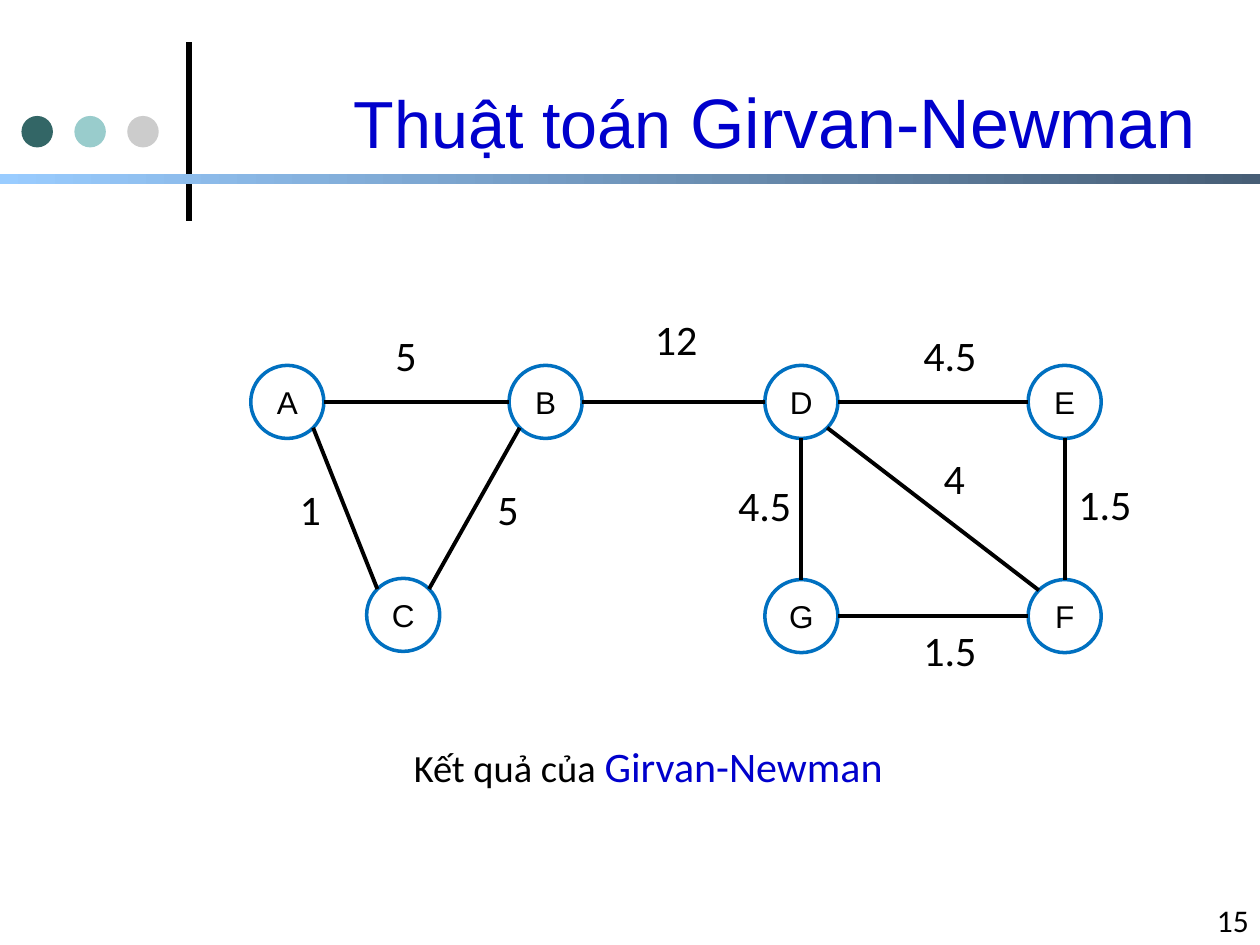
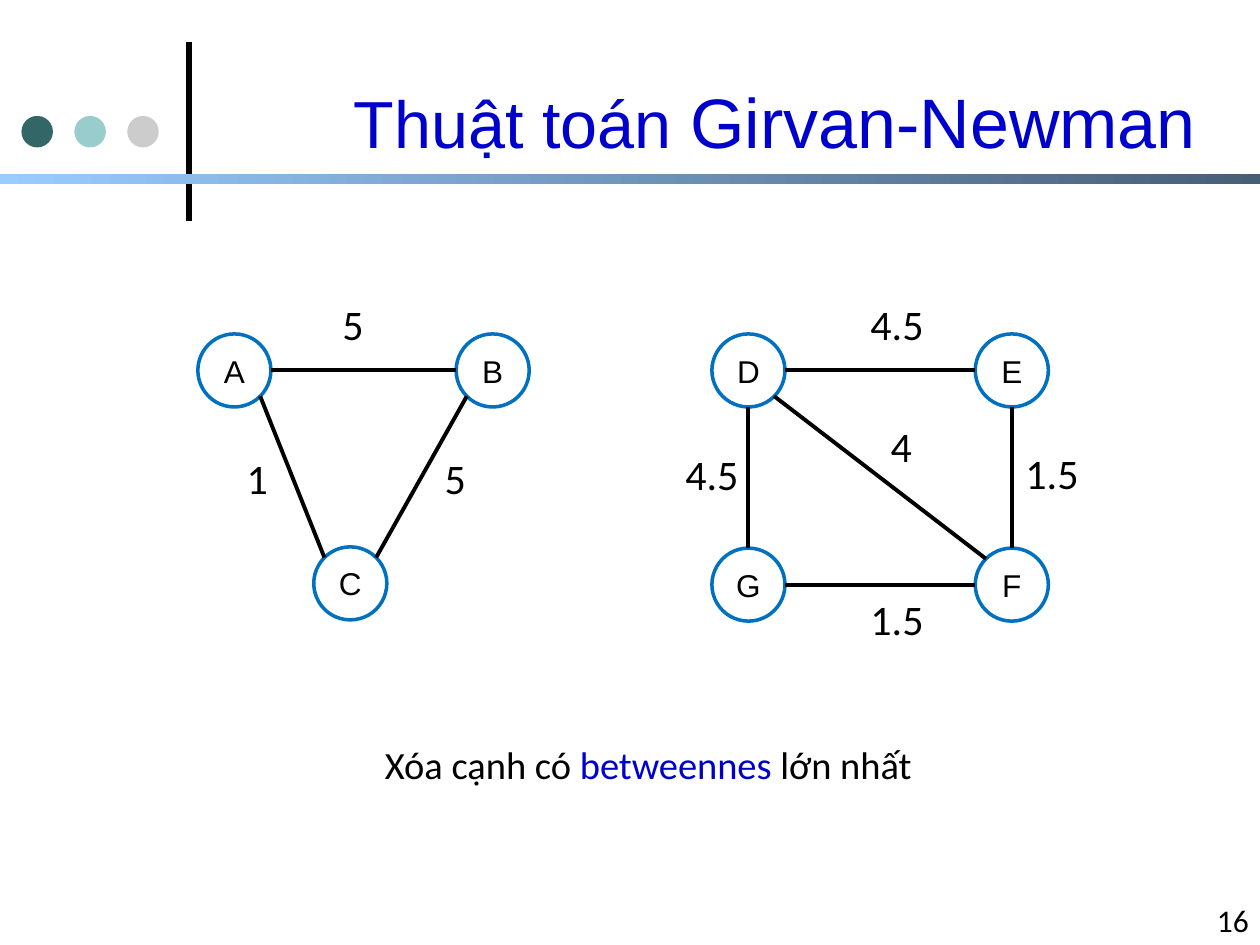
"""Build two slides on the Girvan-Newman algorithm and its edge betweenness."""
import math
from dataclasses import dataclass

import lxml.etree
import pptx
import pptx.dml.color
import pptx.enum.dml
import pptx.enum.shapes
import pptx.enum.text
import pptx.oxml.ns
import pptx.shapes.autoshape
import pptx.shapes.connector
import pptx.slide
import pptx.text.text
import pptx.util

Inches = pptx.util.Inches
Pt = pptx.util.Pt
RGBColor = pptx.dml.color.RGBColor
Align = pptx.enum.text.PP_ALIGN
Anchor = pptx.enum.text.MSO_ANCHOR
ShapeKind = pptx.enum.shapes.MSO_SHAPE

BLACK = RGBColor(0x00, 0x00, 0x00)
TITLE_BLUE = RGBColor(0x00, 0x00, 0xCC)
NODE_BLUE = RGBColor(0x00, 0x70, 0xC0)
BAND_START = RGBColor(0x99, 0xCC, 0xFF)
BAND_END = RGBColor(0x47, 0x5E, 0x76)
DOT_COLORS = (
    RGBColor(0x33, 0x66, 0x66),
    RGBColor(0x99, 0xCC, 0xCC),
    RGBColor(0xCC, 0xCC, 0xCC),
)
HEADING_FONT = "Arial"
BODY_FONT = "Calibri"

NODE_SIZE = 0.58
LABEL_WIDTHS = {1: 0.37, 2: 0.54, 3: 0.62}
TOP, TOP_LEFT, LEFT, BOTTOM_LEFT, BOTTOM, BOTTOM_RIGHT, RIGHT, TOP_RIGHT = range(8)


@dataclass(frozen=True)
class Piece:
    """A stretch of text with its own size and colour."""

    text: str
    size: float
    color: RGBColor = BLACK


@dataclass(frozen=True)
class Node:
    """A graph vertex, placed by its top left corner."""

    name: str
    left: float
    top: float


@dataclass(frozen=True)
class Edge:
    """A weighted link between two connection sites, with its label's corner."""

    start: str
    start_site: int
    end: str
    end_site: int
    weight: str
    label_left: float
    label_top: float


@dataclass(frozen=True)
class GraphSlide:
    """The content of one slide and the shift of its graph."""

    number: int
    caption: tuple[Piece, ...]
    edges: tuple[Edge, ...]
    shift_x: float = 0
    shift_y: float = 0


TITLE = (Piece("Thuật toán ", 38, TITLE_BLUE), Piece("Girvan-Newman", 40, TITLE_BLUE))

NODES = (
    Node("A", 1.99, 2.9),
    Node("B", 4.04, 2.9),
    Node("C", 2.91, 4.59),
    Node("D", 6.07, 2.9),
    Node("E", 8.16, 2.9),
    Node("F", 8.16, 4.6),
    Node("G", 6.07, 4.6),
)

COMMUNITY_EDGES = (
    Edge("A", RIGHT, "B", LEFT, "5", 3.04, 2.57),
    Edge("A", BOTTOM_RIGHT, "C", TOP_LEFT, "1", 2.28, 3.79),
    Edge("C", TOP_RIGHT, "B", BOTTOM_LEFT, "5", 3.85, 3.79),
    Edge("D", RIGHT, "E", LEFT, "4.5", 7.23, 2.57),
    Edge("D", BOTTOM, "G", TOP, "4.5", 5.76, 3.76),
    Edge("E", BOTTOM, "F", TOP, "1.5", 8.46, 3.75),
    Edge("G", RIGHT, "F", LEFT, "1.5", 7.23, 4.91),
    Edge("D", BOTTOM_RIGHT, "F", TOP_LEFT, "4", 7.39, 3.54),
)
BRIDGE = Edge("B", RIGHT, "D", LEFT, "12", 5.1, 2.44)

SLIDES = (
    GraphSlide(
        15,
        (Piece("Kết quả của ", 22), Piece("Girvan-Newman", 24, TITLE_BLUE)),
        COMMUNITY_EDGES + (BRIDGE,),
    ),
    GraphSlide(
        16,
        (
            Piece("Xóa cạnh có ", 22),
            Piece("betweennes", 22, TITLE_BLUE),
            Piece(" lớn nhất", 22),
        ),
        COMMUNITY_EDGES,
        -0.42,
        -0.25,
    ),
)


def write_text(
    frame: pptx.text.text.TextFrame,
    pieces: tuple[Piece, ...],
    font_name: str,
    align: Align,
    anchor: Anchor = Anchor.TOP,
    wrap: bool = True,
) -> None:
    """Fill a frame with one paragraph, formatting runs only where they differ."""
    frame.word_wrap = wrap
    frame.auto_size = pptx.enum.text.MSO_AUTO_SIZE.NONE
    frame.vertical_anchor = anchor
    paragraph = frame.paragraphs[0]
    paragraph.alignment = align
    paragraph.font.name = font_name
    same_size = len({piece.size for piece in pieces}) == 1
    same_color = len({piece.color for piece in pieces}) == 1
    if same_size:
        paragraph.font.size = Pt(pieces[0].size)
    if same_color:
        paragraph.font.color.rgb = pieces[0].color
    for piece in pieces:
        run = paragraph.add_run()
        run.text = piece.text
        if not same_size:
            run.font.size = Pt(piece.size)
        if not same_color:
            run.font.color.rgb = piece.color


def add_text(
    slide: pptx.slide.Slide,
    box: tuple[float, float, float, float],
    pieces: tuple[Piece, ...],
    align: Align,
    anchor: Anchor = Anchor.TOP,
    wrap: bool = True,
) -> None:
    """Add a body-font text box at left, top, width, height in inches."""
    frame = slide.shapes.add_textbox(*map(Inches, box)).text_frame
    write_text(frame, pieces, BODY_FONT, align, anchor, wrap)


def add_line(
    slide: pptx.slide.Slide,
    start: tuple[float, float],
    end: tuple[float, float],
    width: float,
) -> pptx.shapes.connector.Connector:
    """Add a straight black line without shadow."""
    line = slide.shapes.add_connector(
        pptx.enum.shapes.MSO_CONNECTOR.STRAIGHT, *map(Inches, start + end)
    )
    line.line.color.rgb = BLACK
    line.line.width = Pt(width)
    properties = line._element.find(pptx.oxml.ns.qn("p:spPr"))
    lxml.etree.SubElement(properties, pptx.oxml.ns.qn("a:effectLst"))
    return line


def add_plain_shape(
    slide: pptx.slide.Slide,
    kind: ShapeKind,
    box: tuple[float, float, float, float],
) -> pptx.shapes.autoshape.Shape:
    """Add a preset shape with neither shadow nor outline."""
    shape = slide.shapes.add_shape(kind, *map(Inches, box))
    shape.shadow.inherit = False
    shape.line.fill.background()
    return shape


def add_frame(slide: pptx.slide.Slide, number: int) -> None:
    """Draw the dots, rule, band, title and slide number."""
    add_line(slide, (1.5, 1.75), (1.5, 0.33), 3)
    for position, color in enumerate(DOT_COLORS):
        dot = add_plain_shape(
            slide, ShapeKind.OVAL, (0.17 + 0.42 * position, 0.92, 0.25, 0.25)
        )
        dot.fill.solid()
        dot.fill.fore_color.rgb = color
    band = add_plain_shape(slide, ShapeKind.RECTANGLE, (0, 1.38, 10, 0.08))
    band.fill.gradient()
    band.fill.gradient_angle = 0
    for stop, color in zip(band.fill.gradient_stops, (BAND_START, BAND_END)):
        stop.color.rgb = color

    title = slide.shapes.title
    title.left, title.top = Inches(1.67), Inches(0.34)
    title.width, title.height = Inches(7.92), Inches(1.24)
    write_text(title.text_frame, TITLE, HEADING_FONT, Align.RIGHT, Anchor.MIDDLE)
    add_text(
        slide,
        (8.6, 7, 1.41, 0.5),
        (Piece(str(number), 18),),
        Align.RIGHT,
        Anchor.BOTTOM,
    )


def site_point(node: Node, site: int, dx: float, dy: float) -> tuple[float, float]:
    """Locate a connection site, counted anticlockwise from the top in eighths."""
    radius = NODE_SIZE / 2
    angle = site * math.pi / 4
    return (
        node.left + dx + radius * (1 - math.sin(angle)),
        node.top + dy + radius * (1 - math.cos(angle)),
    )


def add_graph(slide: pptx.slide.Slide, content: GraphSlide) -> None:
    """Draw the nodes, the edges joined to them and the weights."""
    dx, dy = content.shift_x, content.shift_y
    nodes = {node.name: node for node in NODES}
    circles = {}
    for node in NODES:
        circle = add_plain_shape(
            slide,
            ShapeKind.OVAL,
            (node.left + dx, node.top + dy, NODE_SIZE, NODE_SIZE),
        )
        circle.fill.background()
        circle.line.color.rgb = NODE_BLUE
        circle.line.width = Pt(2)
        write_text(
            circle.text_frame,
            (Piece(node.name, 18),),
            HEADING_FONT,
            Align.CENTER,
            Anchor.MIDDLE,
        )
        circles[node.name] = circle

    for edge in content.edges:
        line = add_line(
            slide,
            site_point(nodes[edge.start], edge.start_site, dx, dy),
            site_point(nodes[edge.end], edge.end_site, dx, dy),
            2.25,
        )
        joints = line._element.find(".//" + pptx.oxml.ns.qn("p:cNvCxnSpPr"))
        for tag, name, site in (
            ("a:stCxn", edge.start, edge.start_site),
            ("a:endCxn", edge.end, edge.end_site),
        ):
            joint = lxml.etree.SubElement(joints, pptx.oxml.ns.qn(tag))
            joint.set("id", str(circles[name].shape_id))
            joint.set("idx", str(site))
        add_text(
            slide,
            (edge.label_left + dx, edge.label_top + dy, LABEL_WIDTHS[len(edge.weight)], 0.5),
            (Piece(edge.weight, 24),),
            Align.LEFT,
            wrap=False,
        )


def main() -> None:
    """Build and save the presentation."""
    deck = pptx.Presentation()
    deck.slide_width, deck.slide_height = Inches(10), Inches(7.5)
    title_only = deck.slide_layouts[5]
    for content in SLIDES:
        slide = deck.slides.add_slide(title_only)
        add_frame(slide, content.number)
        add_text(slide, (1.29, 5.83, 7.71, 0.5), content.caption, Align.CENTER)
        add_graph(slide, content)
    deck.save("out.pptx")


if __name__ == "__main__":
    main()
